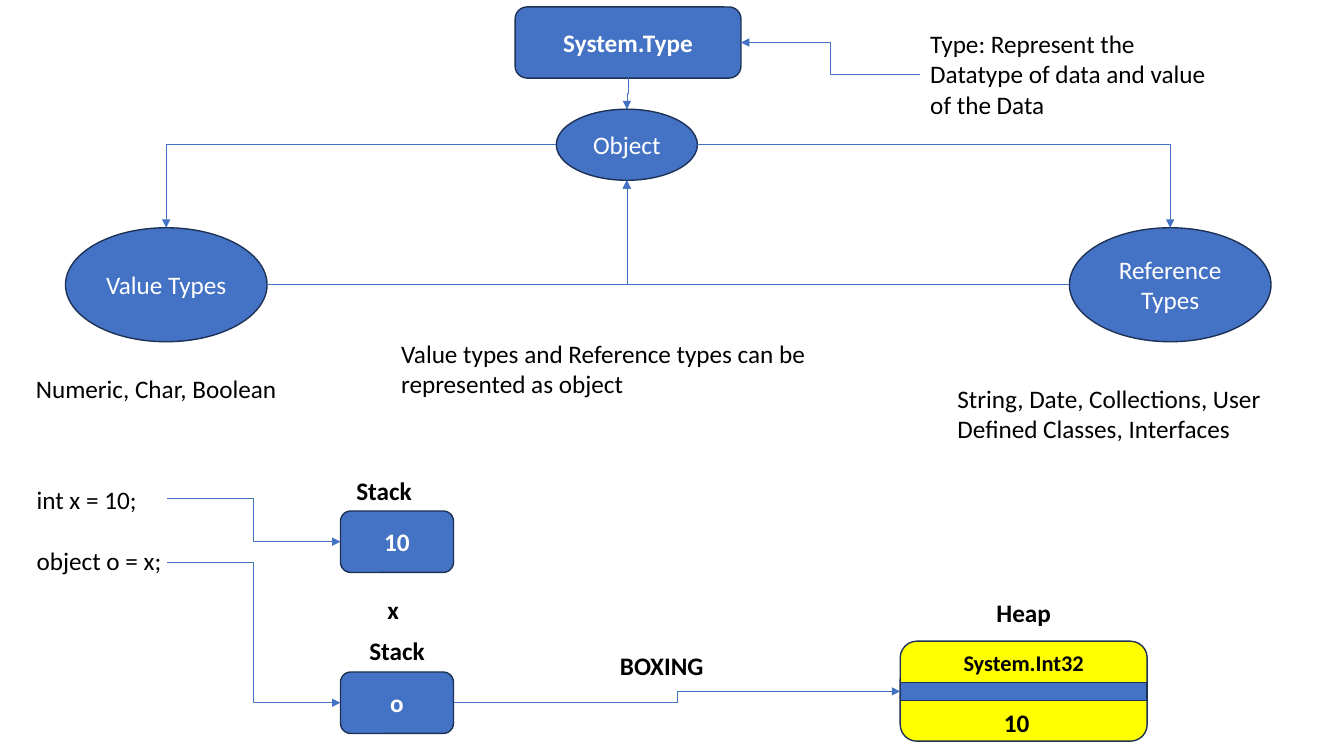
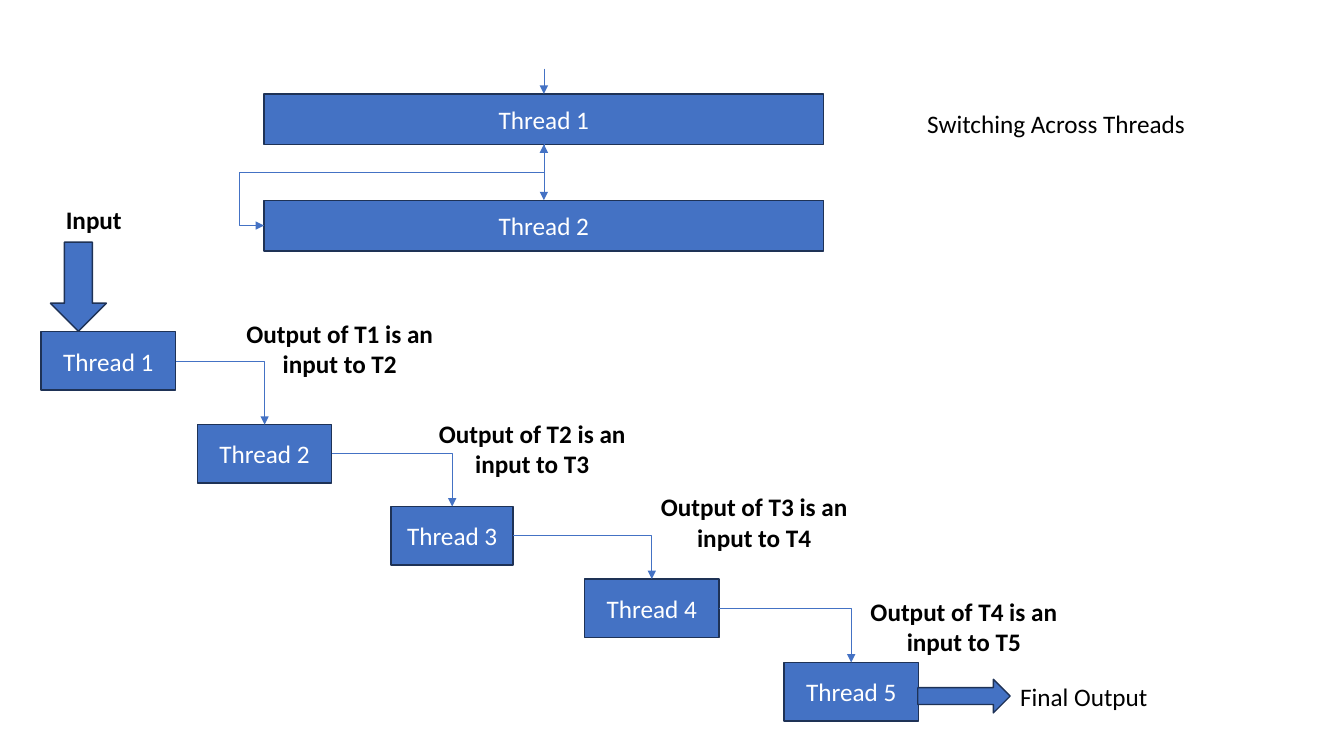
from dataclasses import dataclass

from lxml.etree import SubElement
from pptx import Presentation
from pptx.dml.color import RGBColor
from pptx.enum.shapes import (
    MSO_CONNECTOR as Connector, MSO_SHAPE as Preset, MSO_SHAPE_TYPE as ShapeType)
from pptx.enum.text import MSO_ANCHOR as Anchor, MSO_AUTO_SIZE as AutoSize, PP_ALIGN as Align
from pptx.oxml.ns import qn
from pptx.util import Pt


@dataclass(frozen=True)
class Theme:
    font: str = "Calibri"
    body: float = 18
    small: float = 16
    outline_width: float = 1
    connector_width: float = 0.5
    fill: RGBColor = RGBColor(0x44, 0x72, 0xC4)
    outline: RGBColor = RGBColor(0x1E, 0x32, 0x56)
    heap: RGBColor = RGBColor(0xFF, 0xFF, 0x00)
    on_fill: RGBColor = RGBColor(0xFF, 0xFF, 0xFF)
    text: RGBColor = RGBColor(0x00, 0x00, 0x00)


THEME = Theme()
SLIDE_SIZE = (960, 540)
SIDES = ("top", "left", "bottom", "right")

# Shapes: name, preset, text, bold, (left, top, width, height)
TYPE_SHAPES = [
    ("type", Preset.ROUNDED_RECTANGLE, "System.Type", True, (368, 5, 161.3, 50.8)),
    ("object", Preset.OVAL, "Object", False, (397.4, 78, 100.8, 50.8)),
    ("value", Preset.OVAL, "Value Types", False, (46.8, 162.7, 144, 81.4)),
    ("reference", Preset.OVAL, "Reference Types", False, (763.9, 162.7, 144, 81.4)),
    ("stack x", Preset.ROUNDED_RECTANGLE, "10", True, (243.2, 365, 80.8, 43.9)),
    ("stack o", Preset.ROUNDED_RECTANGLE, "o", True, (243.2, 480, 80.8, 43.9)),
    ("heap", Preset.ROUNDED_RECTANGLE, "", False, (643, 458, 176.4, 71.4)),
    ("heap bar", Preset.RECTANGLE, "", False, (643, 487.4, 176.4, 13)),
]

# Notes: name, paragraphs, (left, top, width, height)
TYPE_NOTES = [
    ("type note", ["Type: Represent the Datatype of data and value of the Data"],
     (657.4, 16.8, 218.2, 72.7)),
    ("value note", ["Numeric, Char, Boolean"], (18.5, 263, 206.6, 29.1)),
    ("reference note", ["String, Date, Collections, User Defined Classes, Interfaces"],
     (676.8, 270, 265, 50.9)),
    ("object note", ["Value types and Reference types can be represented as object"],
     (279.4, 238, 363.6, 50.9)),
    ("code", ["int x = 10;", "object o = x;"], (19.1, 342.7, 117.4, 72.7)),
]

# Labels: text, type size, (left, top, width, height)
TYPE_LABELS = [
    ("Stack", THEME.body, (224.6, 335.8, 99.4, 29.1)),
    ("x", THEME.body, (254.2, 421.2, 53.3, 29.1)),
    ("Stack", THEME.body, (243.2, 450.3, 80.8, 29.1)),
    ("Heap", THEME.body, (643, 423.4, 176.4, 29.1)),
    ("System.Int32", THEME.small, (643, 460.1, 176.4, 26.7)),
    ("10", THEME.body, (657.4, 502, 137.5, 29.1)),
    ("BOXING", THEME.body, (343.4, 461, 258.5, 29.1)),
]

# Elbows: start, end, number of segments; an end is (name, side) or a point
TYPE_ELBOWS = [
    (("type note", "left"), ("type", "right"), 3),
    (("object", "left"), ("value", "top"), 2),
    (("object", "right"), ("reference", "top"), 2),
    (("value", "right"), ("object", "bottom"), 2),
    (("reference", "left"), ("object", "bottom"), 2),
    ((119, 355.7), ("stack x", "left"), 3),
    (("stack o", "right"), ("heap bar", "left"), 3),
    ((119, 401.8), ("stack o", "left"), 3),
]

SWITCH_BARS = {"left": 188.6, "top": 67, "width": 399.8, "height": 36.2, "pitch": 76}
SWITCH_ENTRY = 18
SWITCH_NOTE = ("Switching Across Threads", (655.2, 73.6, 262, 29.1))

# Pipeline stages: left, top, width
STAGES = [
    (29.4, 236.9, 96),
    (141, 303.3, 96),
    (279.4, 361.8, 87.2),
    (417.6, 413.5, 96),
    (560, 473.2, 96),
]
STAGE_HEIGHT = 41.8
HANDOVERS = [(157, 223.8), (294.5, 295.2), (453, 347.6), (602.8, 422.2)]
HANDOVER_SIZE = (171.4, 50.9)
PIPELINE_ARROWS = [
    (Preset.DOWN_ARROW, (36, 173, 40, 63.6)),
    (Preset.RIGHT_ARROW, (655.6, 485.2, 66, 24)),
]
INPUT_LABEL = ("Input", THEME.body, (0, 142.6, 134, 29.1))
OUTPUT_NOTE = ("Final Output", (721.6, 483.2, 108, 29.1))


def write(shape, paragraphs, color, size=THEME.body, bold=False, align=Align.LEFT):
    frame = shape.text_frame
    frame.word_wrap = True
    for index, text in enumerate(paragraphs):
        paragraph = frame.add_paragraph() if index else frame.paragraphs[0]
        paragraph.alignment = align
        if index:
            paragraph.space_before = Pt(22)
        run = paragraph.add_run()
        run.text = text
        font = run.font
        font.name, font.size, font.bold = THEME.font, Pt(size), bold
        font.color.rgb = color


def add_block(slide, preset, text, bold, box, fill=THEME.fill):
    shape = slide.shapes.add_shape(preset, *map(Pt, box))
    shape.shadow.inherit = False
    shape.fill.solid()
    shape.fill.fore_color.rgb = fill
    shape.line.color.rgb = THEME.outline
    shape.line.width = Pt(THEME.outline_width)
    if text:
        shape.text_frame.vertical_anchor = Anchor.MIDDLE
        write(shape, [text], THEME.on_fill, bold=bold, align=Align.CENTER)
    return shape


def add_note(slide, paragraphs, box, **style):
    shape = slide.shapes.add_textbox(*map(Pt, box))
    write(shape, paragraphs, THEME.text, **style)
    shape.text_frame.auto_size = AutoSize.SHAPE_TO_FIT_TEXT
    return shape


def add_label(slide, text, size, box):
    return add_note(slide, [text], box, size=size, bold=True, align=Align.CENTER)


def locate(end):
    """Return the point of a connector end, given as (shape, side) or as (x, y)."""
    target, side = end
    if side not in SIDES:
        return Pt(target), Pt(side)
    x = {"left": 0, "right": target.width}.get(side, target.width // 2)
    y = {"top": 0, "bottom": target.height}.get(side, target.height // 2)
    return target.left + x, target.top + y


def glue(connector, tag, end):
    """Tie a connector end to its shape; an oval has twice as many sites."""
    target, side = end
    if side not in SIDES:
        return
    site = SIDES.index(side)
    if target.shape_type == ShapeType.AUTO_SHAPE and target.auto_shape_type == Preset.OVAL:
        site *= 2
    properties = connector._element.find(".//" + qn("p:cNvCxnSpPr"))
    SubElement(properties, qn(tag), id=str(target.shape_id), idx=str(site))


def connect(slide, start, end, segments=1, vertical=False, both=False, adjust=()):
    """Draw an arrow of so many segments; vertical makes the first one upright."""
    (x1, y1), (x2, y2) = locate(start), locate(end)
    if vertical:
        middle_x, middle_y = (x1 + x2) // 2, (y1 + y2) // 2
        half_x, half_y = (x2 - x1) // 2, (y2 - y1) // 2
        x1, x2 = middle_x - half_y, middle_x + half_y
        y1, y2 = middle_y + half_x, middle_y - half_x
    kind = Connector.STRAIGHT if segments == 1 else Connector.ELBOW
    connector = slide.shapes.add_connector(kind, x1, y1, x2, y2)
    connector.line.color.rgb = THEME.fill
    connector.line.width = Pt(THEME.connector_width)
    glue(connector, "a:stCxn", start)
    glue(connector, "a:endCxn", end)

    properties = connector._element.spPr
    if vertical:
        properties.find(qn("a:xfrm")).set("rot", "5400000")
    if segments > 1:
        geometry = properties.find(qn("a:prstGeom"))
        geometry.set("prst", f"bentConnector{segments}")
        for number, value in enumerate(adjust, 1):
            SubElement(geometry.find(qn("a:avLst")), qn("a:gd"),
                       name=f"adj{number}", fmla=f"val {value}")
    line = properties.find(qn("a:ln"))
    for tag in ("a:headEnd", "a:tailEnd") if both else ("a:tailEnd",):
        SubElement(line, qn(tag), type="triangle")
    SubElement(properties, qn("a:effectLst"))


def build_types(slide):
    parts = {}
    for name, preset, text, bold, box in TYPE_SHAPES:
        fill = THEME.heap if name == "heap" else THEME.fill
        parts[name] = add_block(slide, preset, text, bold, box, fill)
    for name, paragraphs, box in TYPE_NOTES:
        parts[name] = add_note(slide, paragraphs, box)
    for label in TYPE_LABELS:
        add_label(slide, *label)
    for start, end, segments in TYPE_ELBOWS:
        ends = [(parts.get(target, target), side) for target, side in (start, end)]
        connect(slide, *ends, segments)
    connect(slide, (parts["type"], "bottom"), (parts["object"], "top"), 3, vertical=True)


def build_switching(slide):
    bars = SWITCH_BARS
    first, second = [
        add_block(slide, Preset.RECTANGLE, f"Thread {index + 1}", False,
                  (bars["left"], bars["top"] + index * bars["pitch"],
                   bars["width"], bars["height"]))
        for index in range(2)
    ]
    center = bars["left"] + bars["width"] / 2
    connect(slide, (first, "bottom"), (second, "left"), 4,
            vertical=True, both=True, adjust=(34400, 109000))
    connect(slide, (center, bars["top"] - SWITCH_ENTRY), (first, "top"))
    connect(slide, (first, "bottom"), (second, "top"))
    text, box = SWITCH_NOTE
    add_note(slide, [text], box)


def build_pipeline(slide):
    stages = [
        add_block(slide, Preset.RECTANGLE, f"Thread {number}", False,
                  (left, top, width, STAGE_HEIGHT))
        for number, (left, top, width) in enumerate(STAGES, 1)
    ]
    for preset, box in PIPELINE_ARROWS:
        add_block(slide, preset, "", False, box)
    for source, target in zip(stages, stages[1:]):
        connect(slide, (source, "right"), (target, "top"), 2)
    for number, corner in enumerate(HANDOVERS, 1):
        text = f"Output of T{number} is an input to T{number + 1}"
        add_label(slide, text, THEME.body, corner + HANDOVER_SIZE)
    add_label(slide, *INPUT_LABEL)
    text, box = OUTPUT_NOTE
    add_note(slide, [text], box)


def main():
    presentation = Presentation()
    presentation.slide_width, presentation.slide_height = map(Pt, SLIDE_SIZE)
    blank = presentation.slide_layouts[6]
    build_types(presentation.slides.add_slide(blank))
    threads = presentation.slides.add_slide(blank)
    build_switching(threads)
    build_pipeline(threads)
    presentation.save("out.pptx")


if __name__ == "__main__":
    main()
